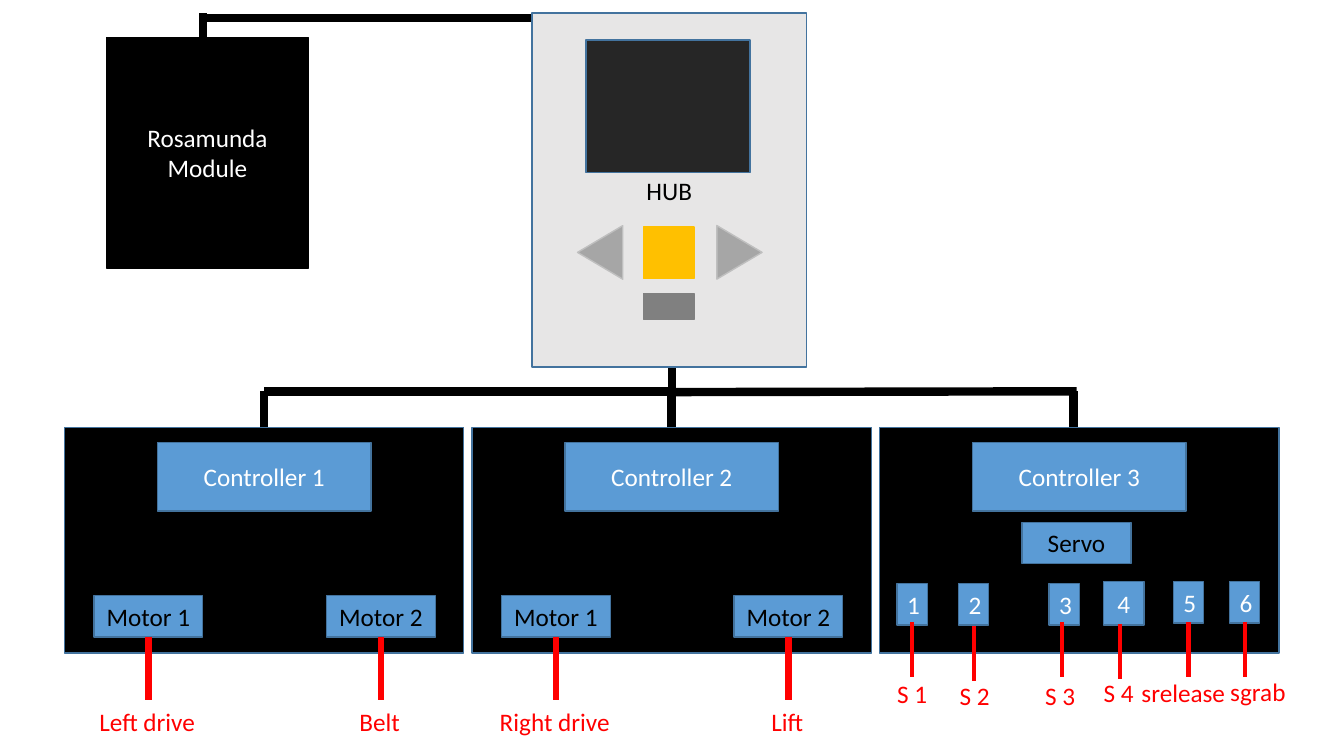
"""Draw the wiring plan of a robot hub, its controllers, motors and servos."""
from lxml.etree import SubElement
from pptx import Presentation
from pptx.dml.color import RGBColor
from pptx.enum.shapes import MSO_CONNECTOR, MSO_SHAPE
from pptx.enum.text import MSO_ANCHOR, MSO_AUTO_SIZE, PP_ALIGN
from pptx.oxml.ns import qn
from pptx.util import Cm, Pt

BLACK = RGBColor(0x00, 0x00, 0x00)
WHITE = RGBColor(0xFF, 0xFF, 0xFF)
RED = RGBColor(0xFF, 0x00, 0x00)
BLUE = RGBColor(0x5B, 0x9B, 0xD5)
NAVY = RGBColor(0x43, 0x73, 0x9E)
PALE = RGBColor(0xE7, 0xE6, 0xE6)
DARK = RGBColor(0x26, 0x26, 0x26)
GOLD = RGBColor(0xFF, 0xC0, 0x00)
GREY = RGBColor(0x80, 0x80, 0x80)
ARROW = RGBColor(0xA6, 0xA6, 0xA6)
EDGE = RGBColor(0xBF, 0xBF, 0xBF)

FONT = {"name": "Calibri", "size": Pt(18)}
INNER = {"word_wrap": True, "vertical_anchor": MSO_ANCHOR.MIDDLE}
LABEL = {"word_wrap": False, "vertical_anchor": MSO_ANCHOR.TOP,
         "auto_size": MSO_AUTO_SIZE.SHAPE_TO_FIT_TEXT}

LEFT, PITCH, TOP, WIDE, HIGH = 1.63, 10.27, 10.77, 10.06, 5.69
MOTORS = [("Motor 1", 0.74), ("Motor 2", 6.6)]
DRIVES = [("Left drive", "Belt"), ("Right drive", "Lift"), ()]
SERVOS = [
    ("1", 22.99, 14.71, 0.76, 1.04, 22.99, 15.67, "S 1", 22.99, 16.97),
    ("2", 24.54, 14.71, 0.76, 1.04, 24.54, 15.77, "S 2", 24.56, 17.02),
    ("3", 26.82, 14.71, 0.76, 1.04, 26.77, 15.67, "S 3", 26.72, 17.02),
    ("4", 28.32, 14.66, 1.02, 1.09, 28.22, 15.72, "S 4", 28.19, 16.94),
    ("5", 29.95, 14.66, 0.76, 1.04, 29.95, 15.67, "srelease", 29.82, 16.94),
    ("6", 31.37, 14.66, 0.76, 1.04, 31.37, 15.67, "sgrab", 31.7, 16.92),
]
CABLES = [
    (6.65, 10.77, 6.65, 9.86), (16.92, 9.86, 6.65, 9.86),
    (16.92, 10.77, 16.92, 9.86), (27.13, 9.86, 16.84, 9.88),
    (27.05, 10.77, 27.05, 9.86), (16.94, 10.16, 16.94, 9.25),
    (13.41, 0.46, 5.11, 0.46), (5.11, 1.24, 5.11, 0.33),
]


def style(item, form):
    """Set each format value on the item."""
    for name, value in form.items():
        setattr(item, name, value)


def write(shape, text, color, form):
    """Put one centred line of text in a shape."""
    frame = shape.text_frame
    style(frame, form)
    para = frame.paragraphs[0]
    para.alignment = PP_ALIGN.CENTER
    run = para.add_run()
    run.text = text
    style(run.font, FONT)
    run.font.color.rgb = color


def block(slide, place, fill, edge=NAVY, text="", color=BLACK,
          kind=MSO_SHAPE.RECTANGLE, turn=0):
    """Add a filled shape, with text if given."""
    shape = slide.shapes.add_shape(kind, *map(Cm, place))
    shape.shadow.inherit = False
    shape.rotation = turn
    shape.fill.solid()
    shape.fill.fore_color.rgb = fill
    shape.line.color.rgb = edge
    shape.line.width = Pt(1)
    if text:
        write(shape, text, color, INNER)


def wire(slide, ends, color, width):
    """Add a straight line between two points."""
    line = slide.shapes.add_connector(MSO_CONNECTOR.STRAIGHT, *map(Cm, ends))
    line.line.color.rgb = color
    line.line.width = Pt(width)
    SubElement(line._element.spPr, qn("a:effectLst"))


def label(slide, text, mid, top, width):
    """Add a red label centred on mid."""
    box = slide.shapes.add_textbox(
        Cm(mid - width / 2), Cm(top), Cm(width), Cm(1.02))
    write(box, text, RED, LABEL)


def panel(slide, index, drives):
    """Add one controller with its motors."""
    left = LEFT + index * PITCH
    block(slide, (left, TOP, WIDE, HIGH), BLACK)
    block(slide, (left + 2.34, 11.15, 5.38, 1.73), BLUE,
          text=f"Controller {index + 1}", color=WHITE)
    for (name, shift), drive in zip(MOTORS, drives):
        mid = left + shift + 1.37
        block(slide, (left + shift, 15.01, 2.74, 1.04), BLUE, text=name)
        wire(slide, (mid, 16.05, mid, 17.65), RED, 4.5)
        label(slide, drive, mid - 0.03, 17.67, 3.8)


def servos(slide):
    """Add the servo ports with wires and labels."""
    block(slide, (25.76, 13.16, 2.74, 1.04), BLUE, text="Servo")
    for name, mid, top, width, high, pin, start, text, spot, low in SERVOS:
        block(slide, (mid - width / 2, top, width, high), BLUE,
              text=name, color=WHITE)
        wire(slide, (pin, start, pin, start + 1.38), RED, 3)
        label(slide, text, spot, low, 0.7 + 0.25 * len(text))


def hub(slide):
    """Add the hub with its screen and buttons."""
    block(slide, (13.41, 0.33, 6.91, 8.92), PALE, text="HUB")
    block(slide, (15.16, 0.61, 3.35, 4.14), DARK, turn=90)
    block(slide, (16.22, 5.72, 1.27, 1.3), GOLD, GOLD)
    block(slide, (16.22, 7.39, 1.27, 0.66), GREY, GREY)
    for left, turn in ((14.45, 270), (17.96, 90)):
        block(slide, (left, 5.79, 1.35, 1.14), ARROW, EDGE,
              kind=MSO_SHAPE.ISOSCELES_TRIANGLE, turn=turn)


def main():
    """Build and save the slide."""
    deck = Presentation()
    style(deck, {"slide_width": Cm(33.87), "slide_height": Cm(19.05)})
    slide = deck.slides.add_slide(deck.slide_layouts[6])
    for index, drives in enumerate(DRIVES):
        panel(slide, index, drives)
    servos(slide)
    for ends in CABLES:
        wire(slide, ends, BLACK, 6)
    hub(slide)
    block(slide, (2.69, 0.94, 5.08, 5.82), BLACK, BLACK,
          "Rosamunda Module", WHITE)
    deck.save("out.pptx")


main()
